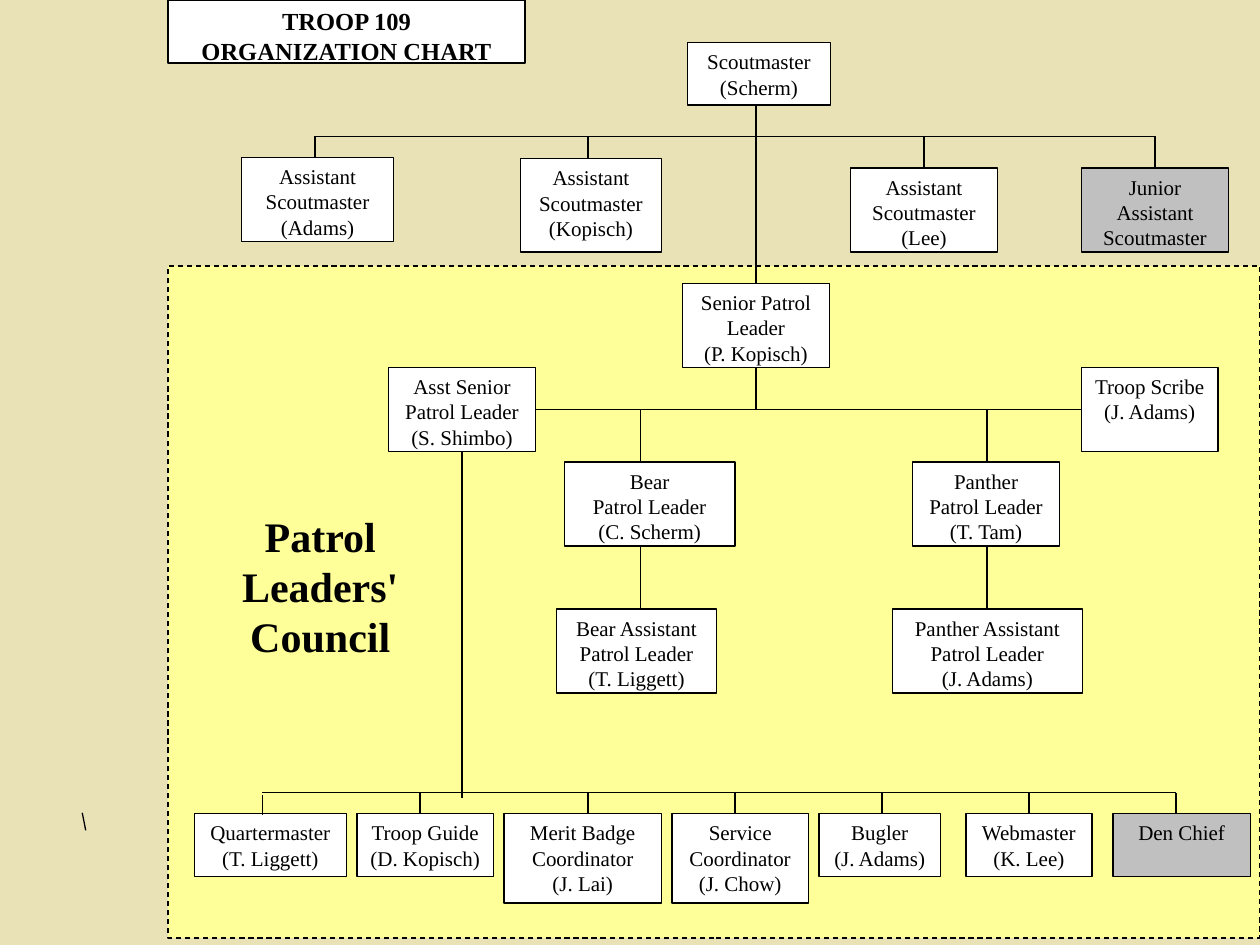
import itertools

import pptx
import pptx.dml.color
import pptx.enum.dml
import pptx.enum.shapes
import pptx.enum.text
import pptx.util
from lxml import etree

Pt = pptx.util.Pt
FONT = "Times New Roman"
BLACK, WHITE, GREY = "000000", "FFFFFF", "C0C0C0"
SAND, YELLOW = "E9E2B6", "FFFF99"
ROW_H = 48
TOP_BUS, MIDDLE_BUS, BOTTOM_BUS = 78, 234, 453
STAFF_TOP = 465

# left, top, width, height, paragraphs, fill
LEADERS = [
    (393, 24.5, 81.5, 35.5, ["Scoutmaster", "(Scherm)"], WHITE),
    (297.4, 90.7, 80.6, 53.3, ["Assistant Scoutmaster", "(Kopisch)"], WHITE),
    (138, 90, 87, ROW_H, ["Assistant Scoutmaster", "(Adams)"], WHITE),
    (486, 96, 84, ROW_H, ["Assistant Scoutmaster (Lee)"], WHITE),
    (618, 96, 84, ROW_H, ["Junior", "Assistant Scoutmaster"], GREY),
    (390, 162, 84, ROW_H, ["Senior Patrol", "Leader", "(P. Kopisch)"], WHITE),
    (222, 210, 84, ROW_H, ["Asst Senior Patrol Leader", "(S. Shimbo)"], WHITE),
    (618, 210, 78, ROW_H, ["Troop Scribe", "(J. Adams)"], WHITE),
    (322.5, 264, 97.5, ROW_H, ["Bear", "Patrol Leader", "(C. Scherm)"], WHITE),
    (521.5, 264, 84, ROW_H, ["Panther", "Patrol Leader", "(T. Tam)"], WHITE),
    (318, 348, 91.5, ROW_H, ["Bear Assistant Patrol Leader", "(T. Liggett)"], WHITE),
    (510, 348, 108.5, ROW_H, ["Panther Assistant Patrol Leader", "(J. Adams)"], WHITE),
]
# left, width, height, paragraphs, fill
STAFF = [
    (111, 87, 36, ["Quartermaster", "(T. Liggett)"], WHITE),
    (204, 78, 36, ["Troop Guide", "(D. Kopisch)"], WHITE),
    (288, 90, 51, ["Merit Badge Coordinator", "(J. Lai)"], WHITE),
    (384, 78, 51, ["Service Coordinator", "(J. Chow)"], WHITE),
    (468, 69.5, 36, ["Bugler", "(J. Adams)"], WHITE),
    (552, 72, 36, ["Webmaster", "(K. Lee)"], WHITE),
    (636, 78.5, 36, ["Den Chief"], GREY),
]


def rgb(value):
    return pptx.dml.color.RGBColor.from_string(value)


def set_line(line):
    line.color.rgb = rgb(BLACK)
    line.width = Pt(0.75)


def write(sp, paragraphs, size=12, bold=False):
    tf = sp.text_frame
    frame = {"word_wrap": True, "vertical_anchor": pptx.enum.text.MSO_ANCHOR.TOP}
    for name, value in frame.items():
        setattr(tf, name, value)
    for i, text in enumerate(paragraphs):
        p = tf.add_paragraph() if i else tf.paragraphs[0]
        p.alignment = pptx.enum.text.PP_ALIGN.CENTER
        r = p.add_run()
        r.text = text
        for name, value in {"name": FONT, "size": Pt(size), "bold": bold}.items():
            setattr(r.font, name, value)
        r.font.color.rgb = rgb(BLACK)


def add_rect(s, x, y, w, h, fill):
    sp = s.shapes.add_shape(pptx.enum.shapes.MSO_SHAPE.RECTANGLE,
                            Pt(x), Pt(y), Pt(w), Pt(h))
    sp.shadow.inherit = False
    sp.fill.solid()
    sp.fill.fore_color.rgb = rgb(fill)
    set_line(sp.line)
    return sp


def add_box(s, x, y, w, h, paragraphs, fill=WHITE, **style):
    write(add_rect(s, x, y, w, h, fill), paragraphs, **style)


def add_line(s, x1, y1, x2, y2):
    cn = s.shapes.add_connector(pptx.enum.shapes.MSO_CONNECTOR.STRAIGHT,
                                Pt(x1), Pt(y1), Pt(x2), Pt(y2))
    set_line(cn.line)
    etree.SubElement(cn._element.spPr, pptx.oxml.ns.qn("a:effectLst"))


def add_drops(s, xs, top, bottom):
    for x in xs:
        add_line(s, x, top, x, bottom)


def add_council_area(s):
    area = add_rect(s, 96, 152, 624, 384, YELLOW)
    area.line.dash_style = pptx.enum.dml.MSO_LINE.DASH


def add_council_label(s):
    sp = s.shapes.add_textbox(Pt(126), Pt(288), Pt(114), Pt(93.5))
    write(sp, ["Patrol Leaders' Council"], size=24, bold=True)


def add_links(s):
    add_line(s, 180, TOP_BUS, 660, TOP_BUS)
    add_drops(s, [180, 336], TOP_BUS, 90)
    add_drops(s, [528, 660], TOP_BUS, 96)
    add_drops(s, [432], 60, 162)
    add_drops(s, [432], 210, MIDDLE_BUS)
    for x1, x2 in itertools.pairwise([306, 366, 564, 618]):
        add_line(s, x1, MIDDLE_BUS, x2, MIDDLE_BUS)
    for top, bottom in [(MIDDLE_BUS, 264), (312, 348)]:
        add_drops(s, [366, 564], top, bottom)
    add_drops(s, [264], 258, 456)
    add_line(s, 150, BOTTOM_BUS, 672, BOTTOM_BUS)
    add_drops(s, [150], 454.5, 466)
    add_drops(s, [240, *range(336, 673, 84)], BOTTOM_BUS, STAFF_TOP)


def main():
    prs = pptx.Presentation()
    prs.slide_width, prs.slide_height = Pt(720), Pt(540)
    s = prs.slides.add_slide(prs.slide_layouts[6])
    s.background.fill.solid()
    s.background.fill.fore_color.rgb = rgb(SAND)

    add_line(s, 47, 464.5, 49, 474.5)
    add_council_area(s)
    add_box(s, 96, 0, 204, 36, ["TROOP 109", "ORGANIZATION CHART"], size=14, bold=True)
    for box in LEADERS:
        add_box(s, *box)
    for x, w, h, paragraphs, fill in STAFF:
        add_box(s, x, STAFF_TOP, w, h, paragraphs, fill)
    add_council_label(s)
    add_links(s)
    prs.save("out.pptx")


if __name__ == "__main__":
    main()
